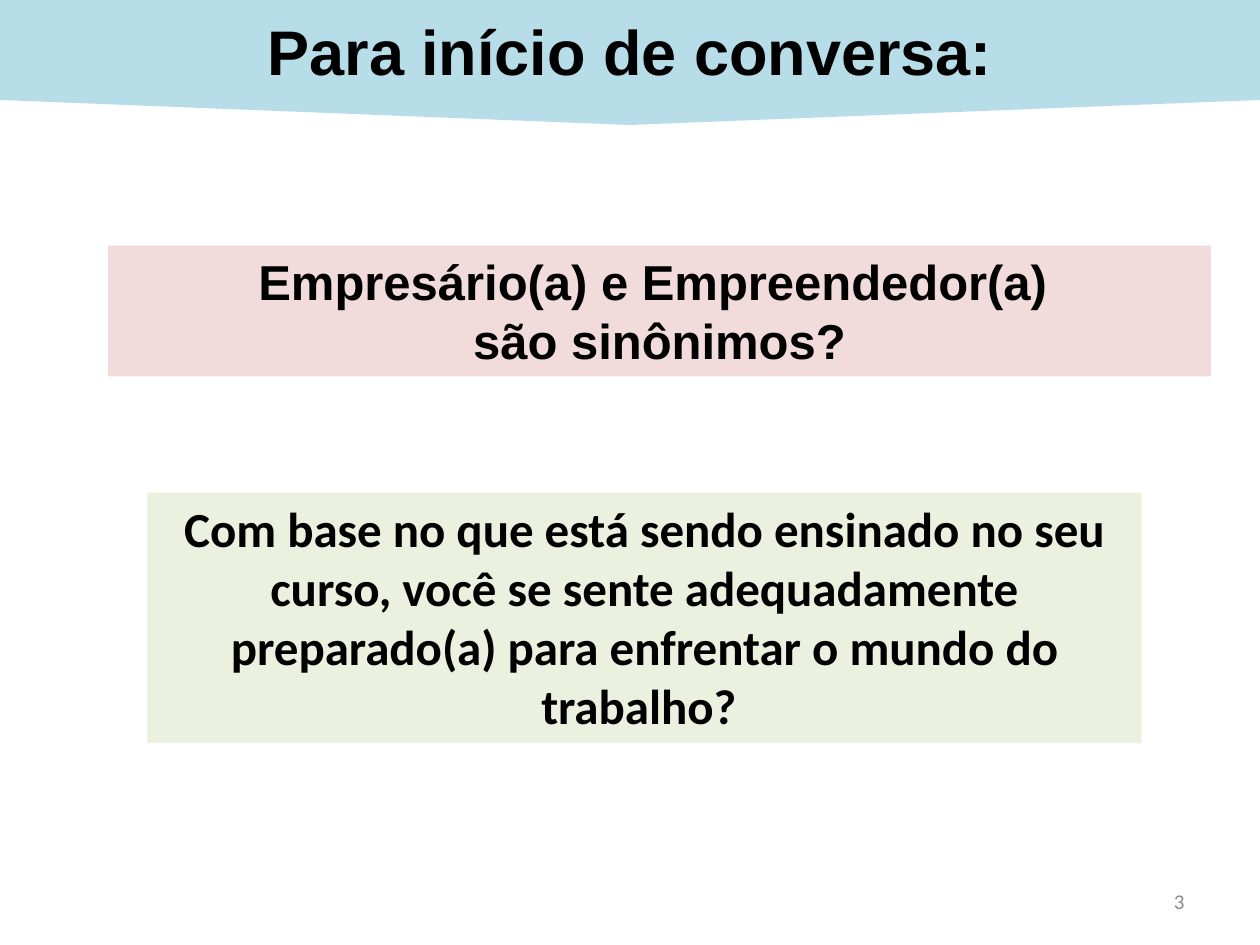
from pptx import Presentation
from pptx.dml.color import RGBColor
from pptx.enum.shapes import MSO_SHAPE as Shape
from pptx.enum.text import MSO_ANCHOR as Anchor, MSO_AUTO_SIZE as Fit, PP_ALIGN as Align
from pptx.util import Cm, Pt

# Content: form, box in cm (left, top, width, height), fill, font, size, anchor, text
CARDS = [
    (Shape.RECTANGLE, (2.18, 4.95, 22.23, 2.64), "F2DCDB", "Arial", 28, Anchor.TOP,
     "Empresário(a) e Empreendedor(a) \nsão sinônimos?"),
    (Shape.RECTANGLE, (2.97, 9.93, 20.04, 5.05), "EBF1DE", "Calibri", 28, Anchor.TOP,
     "Com base no que está sendo ensinado no seu curso, você se sente "
     "adequadamente preparado(a) para enfrentar o mundo do trabalho? "),
    (Shape.FLOWCHART_OFFPAGE_CONNECTOR, (0, 0, 25.4, 2.52), "B7DEE8", "Arial", 36,
     Anchor.MIDDLE, "Para início de conversa:"),
]
PAGE = "3"
PAGE_BOX = (18.2, 17.65, 5.93, 1.02)


def color(code):
    return RGBColor.from_string(code)


def write(shape, text, font, size, tint, align, anchor, bold=False):
    frame = shape.text_frame
    frame.text = text
    frame.word_wrap = True
    frame.vertical_anchor = anchor
    for par in frame.paragraphs:
        par.alignment = align
        for run in par.runs:
            run.font.name = font
            run.font.size = Pt(size)
            run.font.bold = bold
            run.font.color.rgb = color(tint)


deck = Presentation()
deck.slide_width, deck.slide_height = Cm(25.4), Cm(19.05)
slide = deck.slides.add_slide(deck.slide_layouts[6])

# Question cards and title banner
for form, box, fill, font, size, anchor, text in CARDS:
    card = slide.shapes.add_shape(form, *map(Cm, box))
    card.shadow.inherit = False
    card.fill.solid()
    card.fill.fore_color.rgb = color(fill)
    card.line.fill.background()
    write(card, text, font, size, "000000", Align.CENTER, anchor, bold=True)
    if form == Shape.RECTANGLE:
        card.text_frame.auto_size = Fit.SHAPE_TO_FIT_TEXT

# Page number
note = slide.shapes.add_textbox(*map(Cm, PAGE_BOX))
write(note, PAGE, "Calibri", 12, "8C8C8C", Align.RIGHT, Anchor.MIDDLE)

deck.save("out.pptx")
